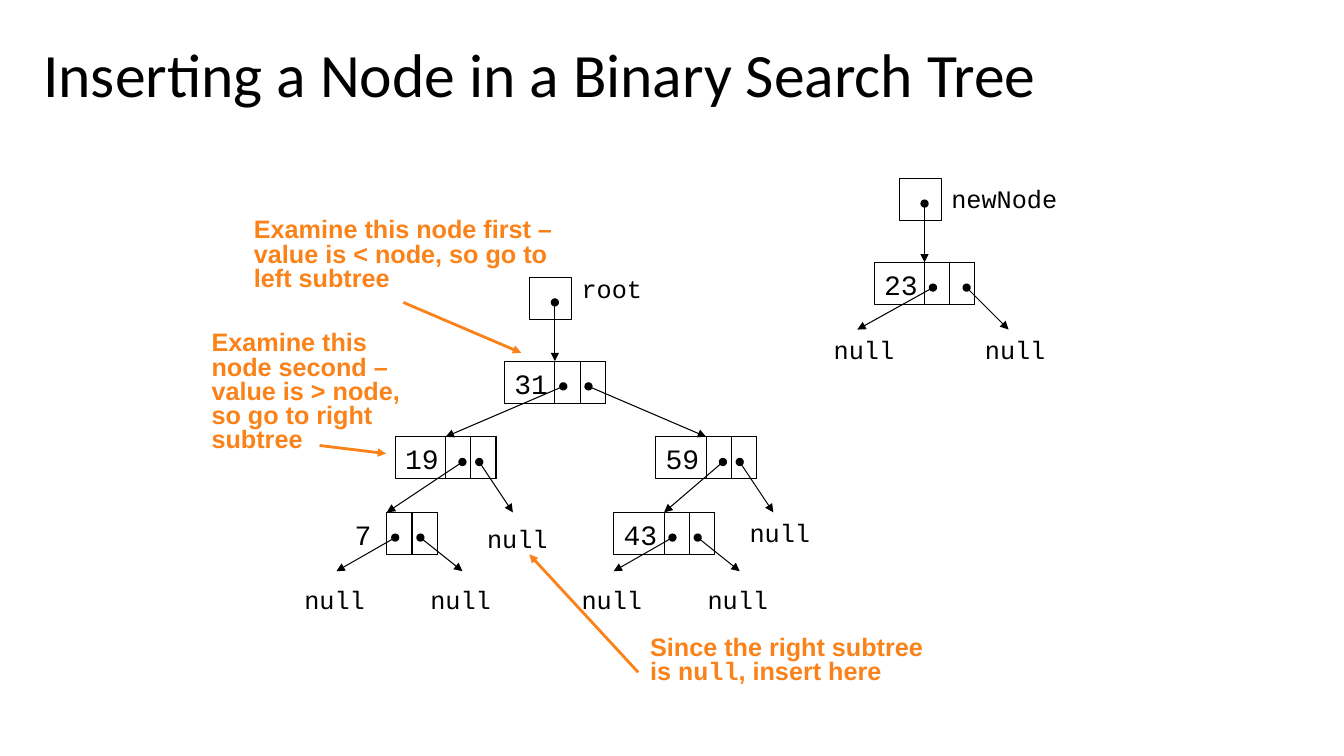
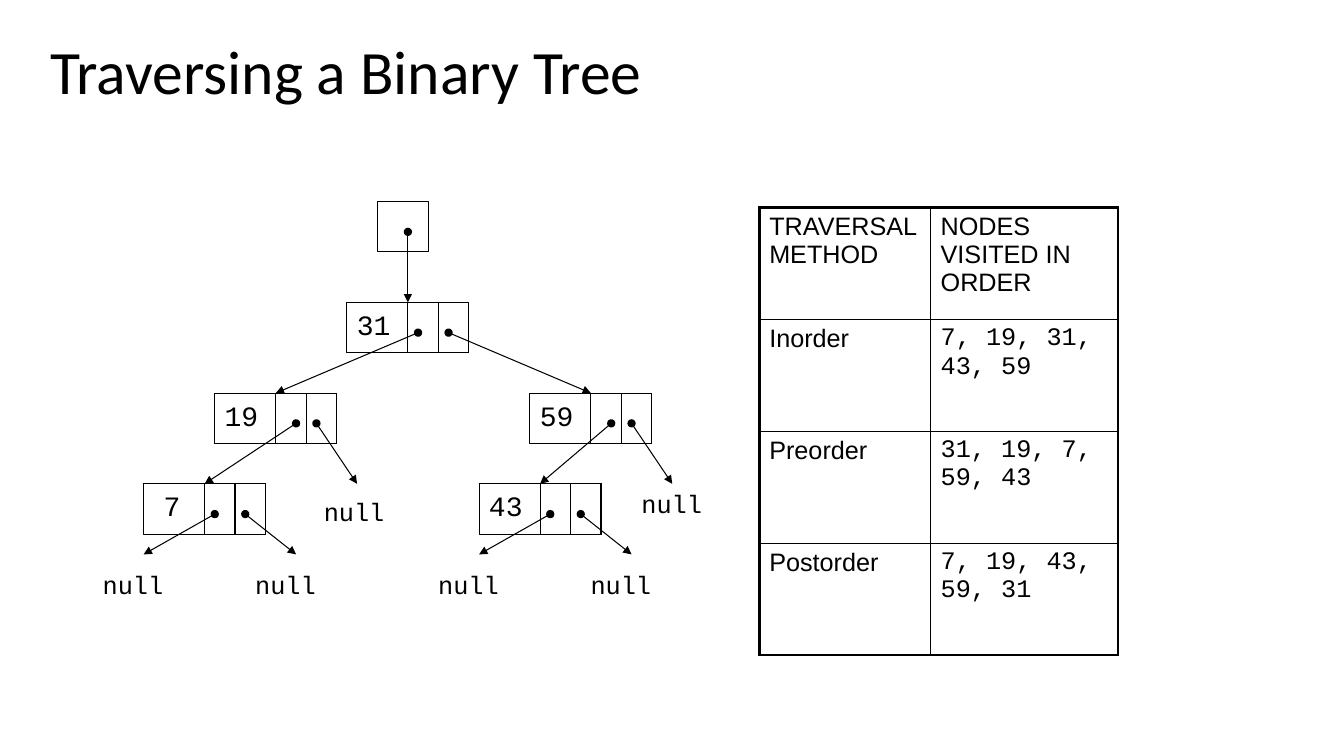
from collections import namedtuple

from lxml.etree import SubElement
from pptx import Presentation
from pptx.dml.color import RGBColor
from pptx.enum.shapes import MSO_CONNECTOR, MSO_SHAPE
from pptx.enum.text import MSO_ANCHOR
from pptx.oxml import parse_xml
from pptx.oxml.ns import nsdecls, qn
from pptx.util import Inches, Pt

BLACK, ORANGE = "000000", "FA8218"
MONO = "Courier New"
TITLE = {"name": "Calibri", "size": Pt(44)}
VALUE = {"name": MONO, "size": Pt(20)}
LABEL = {"name": MONO, "size": Pt(18)}
PLAIN = {"name": "Arial", "size": Pt(18)}
NOTE = {"name": "Arial", "size": Pt(18), "bold": True}
NOTE_CODE = {**NOTE, "name": MONO}

Node = namedtuple("Node", "value x y left right")
Link = namedtuple("Link", "dot dx dy label", defaults=[None])

LEAF = Link(7, 0, 7, (-5, 1)), Link(10, 15, 7, (-5, 1))
TREE = [
    Node("31", 25, 10, Link(7, -7, 9), Link(10, 24, 9)),
    Node("19", 12, 19, Link(8, -1, 9), Link(10, 14, 9, (-4.25, 0.75))),
    Node("59", 43, 19, Link(8, 1, 9), Link(10, 14, 9, (-4, 0))),
    Node("7", 5, 28, *LEAF),
    Node("43", 38, 28, *LEAF),
]
NEW_TREE = [
    Node("23", 6, 10, Link(7, -2, 8, (-4, 0)), Link(11, 16, 8, (-4, 0))),
]
TRAVERSALS = [
    ("TRAVERSAL METHOD", "NODES VISITED IN ORDER"),
    ("Inorder", "7, 19, 31, 43, 59"),
    ("Preorder", "31, 19, 7, 59, 43"),
    ("Postorder", "7, 19, 43, 59, 31"),
]


def rgb(color):
    return RGBColor.from_string(color)


def add_run(p, text, style, color=BLACK):
    r = p.add_run()
    r.text = text
    for name, value in style.items():
        setattr(r.font, name, value)
    r.font.color.rgb = rgb(color)


def add_text(s, box, runs, color=BLACK, spacing=1.0, anchor=MSO_ANCHOR.TOP):
    tf = s.shapes.add_textbox(*map(Inches, box)).text_frame
    tf.word_wrap = True
    tf.margin_right = 0
    tf.vertical_anchor = anchor
    p = tf.paragraphs[0]
    p.line_spacing = spacing
    for text, style in runs:
        add_run(p, text, style, color)


def add_title(s, left, top, text):
    add_text(s, (left, top, 11.5, 1.45), [(text, TITLE)],
             spacing=0.9, anchor=MSO_ANCHOR.MIDDLE)


def add_arrow(s, start, end, color=BLACK, width=0.75, head=None):
    sp = s.shapes.add_connector(MSO_CONNECTOR.STRAIGHT,
                                *map(Inches, (*start, *end)))
    sp.line.color.rgb = rgb(color)
    sp.line.width = Pt(width)
    ln = sp.line._get_or_add_ln()
    if head:
        SubElement(ln, qn("a:headEnd"), type=head)
    SubElement(ln, qn("a:tailEnd"), type="triangle")
    SubElement(sp._element.spPr, qn("a:effectLst"))


def add_tree(s, origin, unit, nodes, name=None, unboxed=()):
    def at(x, y):
        return origin[0] + x * unit[0], origin[1] + y * unit[1]

    def cell(x, y, width):
        size = width * unit[0], 5 * unit[1]
        sp = s.shapes.add_shape(MSO_SHAPE.RECTANGLE,
                                *map(Inches, (*at(x, y), *size)))
        sp.shadow.inherit = False
        sp.fill.background()
        sp.line.color.rgb = rgb(BLACK)
        sp.line.width = Pt(0.75)

    def label(x, y, text, style, width=0.8):
        add_text(s, (*at(x, y), width, 0.43), [(text, style)])

    def link(start, end):
        add_arrow(s, at(*start), at(*end), head="oval")

    root = nodes[0]
    cell(root.x + 3, 0, 5)
    link((root.x + 6, 3), (root.x + 6, root.y))
    if name:
        text, dy = name
        label(root.x + 8, dy, text, LABEL, 1.25)
    for node in nodes:
        if node.value not in unboxed:
            cell(node.x, node.y, 12)
        for dx in (6, 9):
            cell(node.x + dx, node.y, 3)
        label(node.x + (len(node.value) == 1), node.y, node.value, VALUE)
        for child in (node.left, node.right):
            tip = node.x + child.dx, node.y + child.dy
            link((node.x + child.dot, node.y + 3), tip)
            if child.label:
                label(tip[0] + child.label[0], tip[1] + child.label[1],
                      "null", LABEL)


def add_note(s, box, runs, start, end):
    add_text(s, box, runs, ORANGE, spacing=0.8)
    add_arrow(s, start, end, ORANGE, 2)


def set_borders(cell, widths):
    tcPr = cell._tc.get_or_add_tcPr()
    for i, (side, width) in enumerate(zip("LRTB", widths)):
        tcPr.insert(i, parse_xml(
            f'<a:ln{side} {nsdecls("a")} w="{Pt(width)}"><a:solidFill>'
            f'<a:srgbClr val="{BLACK}"/></a:solidFill></a:ln{side}>'))


def add_traversal_table(s, left, top, widths, row_height, rows):
    table = s.shapes.add_table(
        len(rows), len(widths),
        *map(Inches, (left, top, sum(widths), row_height * len(rows)))).table
    table.first_row = table.horz_banding = False
    for column, width in zip(table.columns, widths):
        column.width = Inches(width)
    last_row, last_col = len(rows) - 1, len(widths) - 1
    for i, row in enumerate(rows):
        for j, text in enumerate(row):
            cell = table.cell(i, j)
            cell.fill.background()
            add_run(cell.text_frame.paragraphs[0], text,
                    LABEL if i and j else PLAIN)
            edges = j == 0, j == last_col, i == 0, i == last_row
            set_borders(cell, [2.25 if edge else 1 for edge in edges])


def insertion_slide(s):
    unit = 1 / 12, 1 / 12
    add_title(s, 0.33, 0.04, "Inserting a Node in a Binary Search Tree")
    add_tree(s, (2.92, 2.75), unit, TREE, ("root", -1), unboxed=("7",))
    add_tree(s, (8.17, 1.77), unit, NEW_TREE, ("newNode", 0))
    add_note(s, (2.42, 2.13, 3.08, 0.83),
             [("Examine this node first – value is < node, "
               "so go to left subtree", NOTE)], (4, 3), (5.17, 3.5))
    add_note(s, (2, 3.25, 2.15, 1.31),
             [("Examine this node second – value is > node, "
               "so go to right subtree", NOTE)], (3.17, 4.42), (3.83, 4.5))
    add_note(s, (6.35, 6.27, 2.93, 0.6),
             [("Since the right subtree is ", NOTE), ("null", NOTE_CODE),
              (", insert here", NOTE)], (6.33, 6.67), (5.25, 5.5))


def traversal_slide(s):
    add_title(s, 0.4, 0.01, "Traversing a Binary Tree")
    add_traversal_table(s, 7.53, 2.06, (1.7, 1.86), 1.11, TRAVERSALS)
    add_tree(s, (0.92, 2), (1.21 / 12, 0.1), TREE)


def main():
    prs = Presentation()
    prs.slide_width, prs.slide_height = Inches(13.33), Inches(7.5)
    for build in (insertion_slide, traversal_slide):
        build(prs.slides.add_slide(prs.slide_layouts[6]))
    prs.save("out.pptx")


if __name__ == "__main__":
    main()
